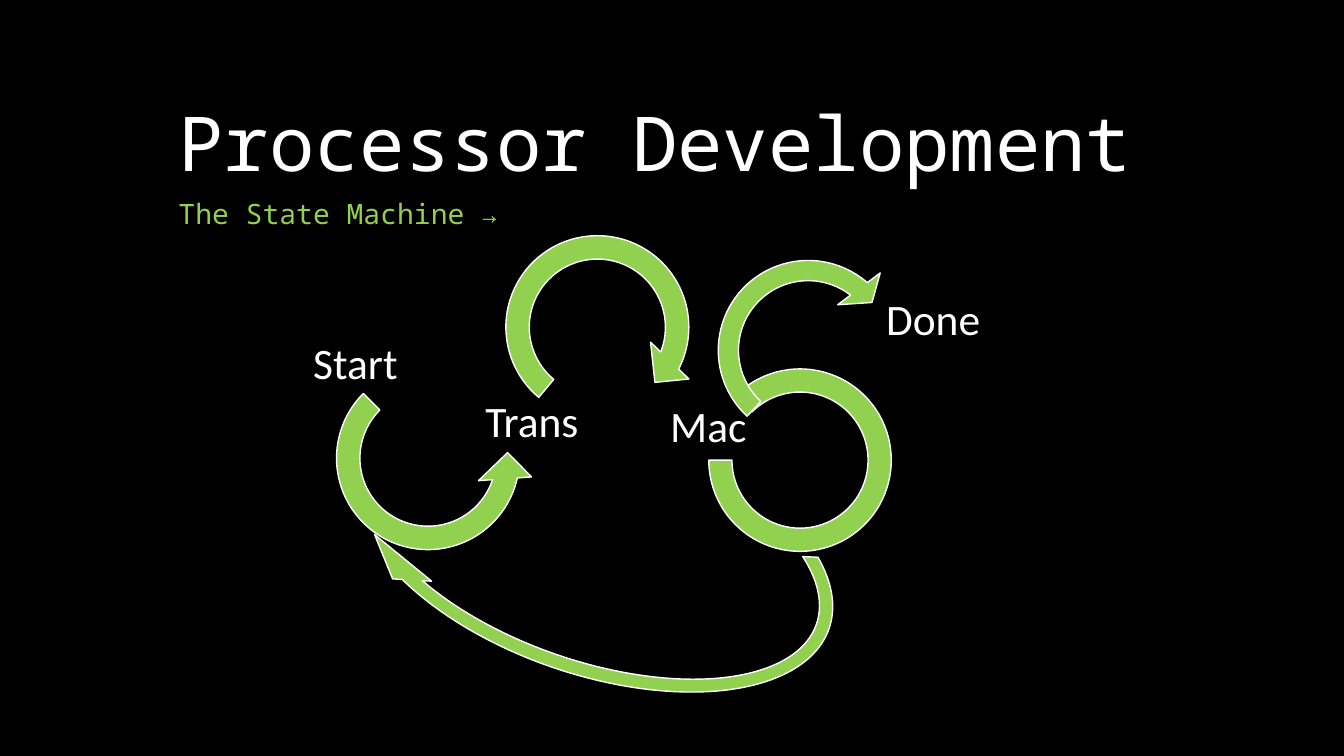
from pptx import Presentation
from pptx.dml.color import RGBColor
from pptx.enum.shapes import MSO_SHAPE
from pptx.enum.text import MSO_ANCHOR, MSO_AUTO_SIZE, PP_ALIGN
from pptx.util import Pt

PX = 9144
BLACK = RGBColor(0, 0, 0)
WHITE = RGBColor(255, 255, 255)
GREEN = RGBColor(146, 208, 80)
MONO, SANS = "Noto Sans Mono", "Calibri"
ARROW = MSO_SHAPE.CIRCULAR_ARROW
LEFT_ARROW = MSO_SHAPE.LEFT_CIRCULAR_ARROW
ARC = MSO_SHAPE.BLOCK_ARC
TOP, MIDDLE, BOTTOM = MSO_ANCHOR.TOP, MSO_ANCHOR.MIDDLE, MSO_ANCHOR.BOTTOM
LEFT, CENTER = PP_ALIGN.LEFT, PP_ALIGN.CENTER
NO_FIT = MSO_AUTO_SIZE.NONE

TITLE = ("Processor Development", (167, 33, 1000, 158))
BODY = ("The State Machine →", (167, 194, 1000, 48))

CYCLE = [
    (ARROW, (487, 219, 211, 211), 309.8, (0.11, 11.42, 45, 108, 0.125)),
    (LEFT_ARROW, (319, 349, 211, 211), 270, (0.11, 11.42, 63, 189, 0.125)),
    (ARC, (703, 366, 181, 181), 0, (135, 108, 0.127)),
]
STEPS = [
    ("Start", (294, 333, 117, 59)),
    ("Trans", (469, 391, 117, 59)),
    ("Mac", (644, 399, 117, 53)),
]
EXITS = [
    (ARROW, (696, 242, 211, 211), 249.8, (0.095, 8.15, 35.87, 145.8, 0.125)),
    (ARROW, (450, 283, 277, 520), 109, (0.048, 8.15, 36.46, 152.12, 0.07)),
]
DONE = ("Done", (867, 289, 117, 59))


def scale(box):
    return [n * PX for n in box]


def write(shape, text, size, font=SANS, color=WHITE, align=CENTER,
          anchor=MIDDLE, inset=None):
    frame = shape.text_frame
    frame.word_wrap = True
    frame.auto_size = NO_FIT
    frame.vertical_anchor = anchor
    if inset is not None:
        frame.margin_left = frame.margin_right = inset * PX
        frame.margin_top = frame.margin_bottom = inset * PX
    para = frame.paragraphs[0]
    para.alignment = align
    para.line_spacing = 0.9
    para.space_before = Pt(0)
    run = para.add_run()
    run.text = text
    run.font.size = Pt(size)
    run.font.name = font
    run.font.bold = False
    run.font.color.rgb = color
    run.font._element.set("cap", "none")


def place(holder, box):
    holder.left, holder.top, holder.width, holder.height = scale(box)


def draw(shapes, kind, box, turn, shape_values):
    shape = shapes.add_shape(kind, *scale(box))
    shape.rotation = turn
    shape.shadow.inherit = False
    for i, value in enumerate(shape_values):
        shape.adjustments[i] = value
    shape.fill.solid()
    shape.fill.fore_color.rgb = GREEN
    shape.line.color.rgb = WHITE
    shape.line.width = Pt(1)


def label(shapes, text, box):
    write(shapes.add_textbox(*scale(box)), text, 31, inset=2)


def main():
    deck = Presentation()
    deck.slide_width, deck.slide_height = scale((1333, 750))
    slide = deck.slides.add_slide(deck.slide_layouts[2])
    slide.background.fill.solid()
    slide.background.fill.fore_color.rgb = BLACK

    title, body = slide.shapes.title, slide.placeholders[1]
    place(title, TITLE[1])
    write(title, TITLE[0], 54, font=MONO, align=LEFT, anchor=BOTTOM)
    place(body, BODY[1])
    write(body, BODY[0], 20, font=MONO, color=GREEN, align=LEFT, anchor=TOP)

    cycle = slide.shapes.add_group_shape().shapes
    for arrow, step in zip(CYCLE, STEPS):
        draw(cycle, *arrow)
        label(cycle, *step)
    for arrow in EXITS:
        draw(slide.shapes, *arrow)
    label(slide.shapes, *DONE)
    deck.save("out.pptx")


if __name__ == "__main__":
    main()
